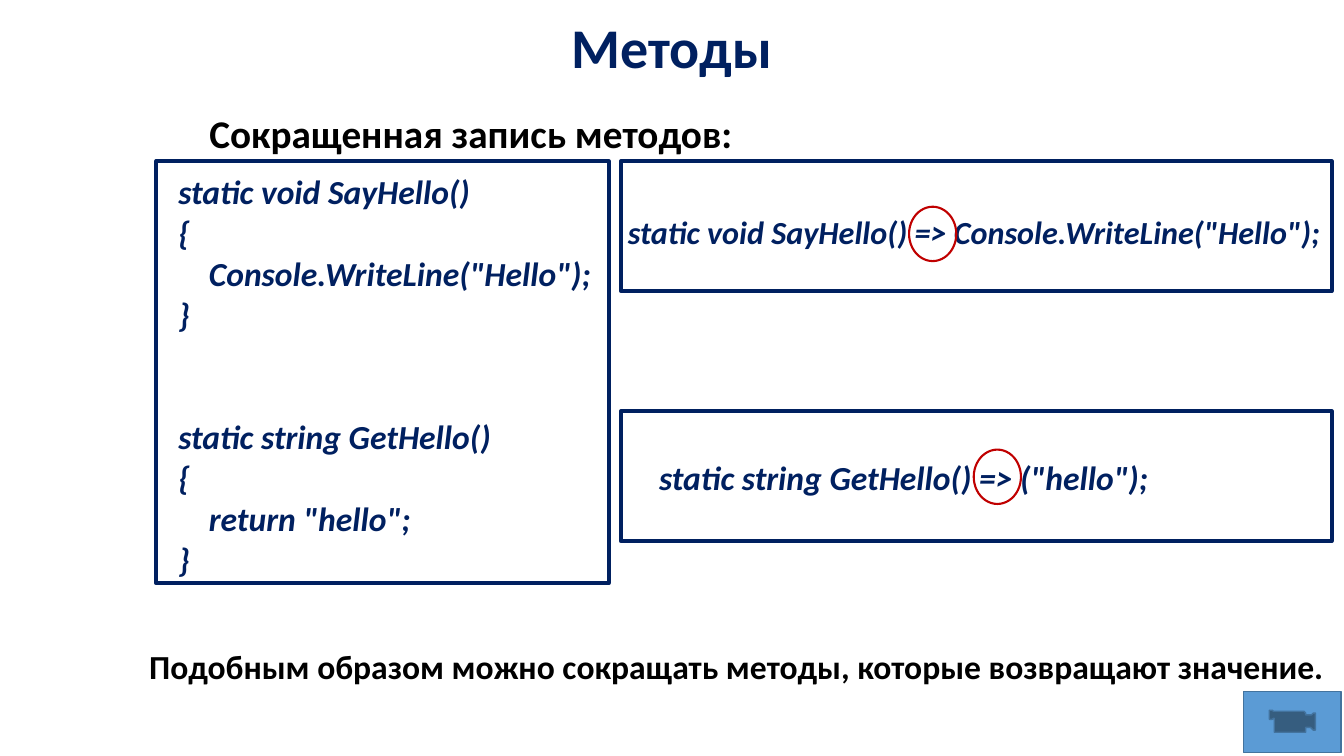
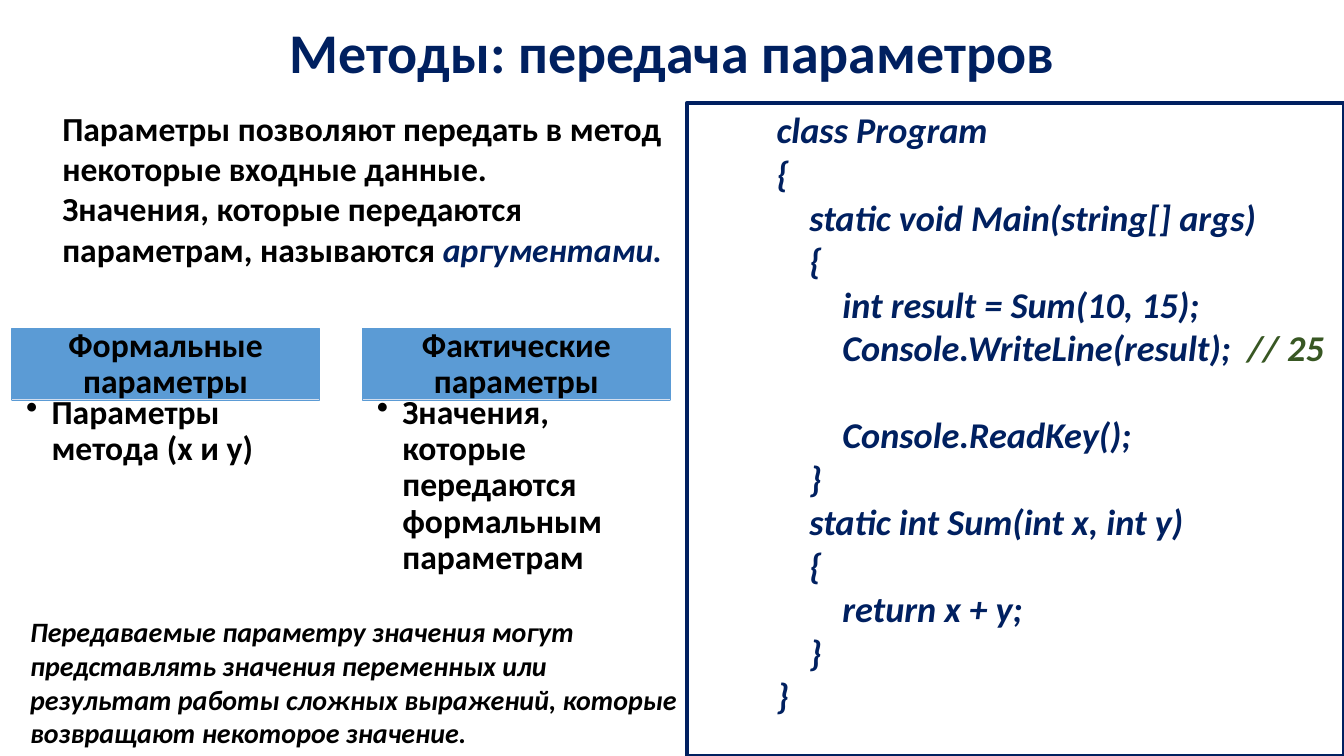
from lxml import etree
from pptx import Presentation
from pptx import util as u
from pptx.dml.color import RGBColor
from pptx.enum import shapes, text
from pptx.oxml.ns import qn

NAVY, BLACK, BLUE, PALE = "002060", "000000", "5B9BD5", "D2DEEF"
RED, STEEL, GREEN = "C00000", "43739E", "385723"
LEFT, CENTER = text.PP_ALIGN.LEFT, text.PP_ALIGN.CENTER
ink = RGBColor.from_string


def outline(slide, kind, box, line, width, fill=None):
    shape = slide.shapes.add_shape(kind, *map(u.Cm, box))
    shape.shadow.inherit = False
    shape.line.color.rgb = ink(line)
    shape.line.width = u.Pt(width)
    if fill:
        shape.fill.solid()
        shape.fill.fore_color.rgb = ink(fill)
    else:
        shape.fill.background()
    return shape


def write(frame, lines, size, color=BLACK, italic=False, align=LEFT,
          spacing=1.0, step=0, margin=0, wrap=True):
    frame.word_wrap = wrap
    for number, (level, words) in enumerate(lines):
        paragraph = frame.paragraphs[0] if number == 0 else frame.add_paragraph()
        paragraph.alignment = align
        paragraph.line_spacing = spacing
        paragraph._p.get_or_add_pPr().set("marL", str(u.Cm(margin + level * step)))
        paragraph.add_run().text = words
        font = paragraph.font
        font.name, font.size, font.bold, font.italic = "Calibri", u.Pt(size), True, italic
        font.color.rgb = ink(color)
    return frame.paragraphs


deck = Presentation()
deck.slide_width, deck.slide_height = u.Cm(33.87), u.Cm(19.05)

slides = []
for title, height in (("Методы", 2.54), ("Методы: передача параметров", 2.77)):
    slide = deck.slides.add_slide(deck.slide_layouts[6])
    heading = slide.shapes.add_textbox(u.Cm(4.23), 0, u.Cm(25.4), u.Cm(height)).text_frame
    heading.vertical_anchor = text.MSO_ANCHOR.MIDDLE
    write(heading, [(0, title)], 40, NAVY, align=CENTER, spacing=0.9)
    slides.append(slide)
short_form, parameters = slides

for box, words, size, wrap in (
    ((5.03, 2.77, 24, 1.2), "Сокращенная запись методов:", 28, True),
    ((3.51, 16.26, 30.35, 1.17),
     "Подобным образом можно сокращать методы, которые возвращают значение.", 24, False),
):
    caption = short_form.shapes.add_textbox(*map(u.Cm, box)).text_frame
    write(caption, [(0, words)], size, spacing=0.9, wrap=wrap)

methods = short_form.shapes.add_table(
    3, 2, u.Cm(4.24), u.Cm(4.22), u.Cm(29.62), u.Cm(10.39)).table
methods.first_row = methods.horz_banding = False
for column, width in zip(methods.columns, (11.1, 18.52)):
    column.width = u.Cm(width)
for row, height in zip(methods.rows, (4.27, 1.85, 4.27)):
    row.height = u.Cm(height)
for cell in methods.iter_cells():
    cell.fill.background()

for row, signature, body, arrow_form, size, indent in (
    (0, "static void SayHello()", 'Console.WriteLine("Hello");',
     'static void SayHello() => Сonsole.WriteLine("Hello");', 23, 0.48),
    (2, "static string GetHello()", 'return "hello";',
     'static string GetHello() => ("hello");', 24, 1.27),
):
    full, brief = methods.cell(row, 0), methods.cell(row, 1)
    write(full.text_frame, [(0, signature), (0, "{"), (1, body), (0, "}")],
          24, NAVY, italic=True, step=0.77)
    brief.margin_top, brief.margin_left = u.Cm(1.16), u.Cm(indent)
    write(brief.text_frame, [(0, arrow_form)], size, NAVY, italic=True)

for left, top in ((22.91, 5.21), (24.54, 11.33)):
    outline(short_form, shapes.MSO_SHAPE.OVAL, (left, top, 1.19, 1.37), RED, 1.5)
outline(short_form, shapes.MSO_SHAPE.ACTION_BUTTON_MOVIE,
        (31.34, 17.42, 2.46, 1.55), STEEL, 1, BLUE)
for box in ((3.94, 4.06, 11.4, 10.64), (15.65, 4.06, 17.91, 3.28), (15.65, 10.36, 17.91, 3.28)):
    outline(short_form, shapes.MSO_SHAPE.RECTANGLE, box, NAVY, 2.75)

program = outline(parameters, shapes.MSO_SHAPE.RECTANGLE,
                  (17.32, 2.59, 16.54, 16.46), NAVY, 2.75).text_frame
program.vertical_anchor = text.MSO_ANCHOR.TOP
code = write(program, [
    (0, "class Program"),
    (0, "{"),
    (1, "static void Main(string[] args)"),
    (1, "{"),
    (2, "int result = Sum(10, 15);"),
    (2, "Console.WriteLine(result);  "),
    (2, "Console.ReadKey();"),
    (1, "}"),
    (1, "static int Sum(int x, int y)"),
    (1, "{"),
    (2, "return x + y;"),
    (1, "}"),
    (0, "}"),
], 25.9, NAVY, italic=True, spacing=u.Pt(31.1), step=0.83, margin=2)
output = code[5].add_run()
output.text = "// 25"
output.font.color.rgb = ink(GREEN)
code[6].space_before = u.Pt(31.1)

intro = parameters.shapes.add_textbox(u.Cm(1.32), u.Cm(2.59), u.Cm(16), u.Cm(4.37)).text_frame
definition = write(intro, [
    (0, "Параметры позволяют передать в метод некоторые входные данные."),
    (0, "Значения, которые передаются параметрам, называются "),
], 24)[1]
term = definition.add_run()
term.text = "аргументами."
term.font.italic = True
term.font.color.rgb = ink(NAVY)

for left, kind, meaning in (
    (0.3, "Формальные параметры", "Параметры метода (x и y)"),
    (9.14, "Фактические параметры", "Значения, которые передаются формальным параметрам"),
):
    header = outline(parameters, shapes.MSO_SHAPE.RECTANGLE,
                     (left, 8.28, 7.75, 1.8), BLUE, 1, BLUE).text_frame
    header.margin_left = header.margin_right = u.Cm(0.48)
    write(header, [(0, kind)], 24, align=CENTER, spacing=0.9)

    rule = parameters.shapes.add_connector(
        shapes.MSO_CONNECTOR.STRAIGHT, *map(u.Cm, (left, 10.06, left + 7.75, 10.06)))
    rule.line.color.rgb = ink(PALE)
    rule.line.width = u.Pt(1)
    etree.SubElement(rule._element.spPr, qn("a:effectLst"))

    details = parameters.shapes.add_textbox(*map(u.Cm, (left, 9.96, 7.75, 5))).text_frame
    details.margin_left, details.margin_right, details.margin_top = u.Cm(0.36), u.Cm(0.48), 0
    item = write(details, [(0, meaning)], 24, spacing=0.9, margin=0.64)[0]
    properties = item._p.get_or_add_pPr()
    properties.set("indent", str(-u.Cm(0.64)))
    bullet = etree.Element(qn("a:buChar"), char="•")
    properties.find(qn("a:defRPr")).addprevious(bullet)

remark = parameters.shapes.add_textbox(
    u.Cm(0.51), u.Cm(15.37), u.Cm(16.81), u.Cm(3.68)).text_frame
write(remark, [(0, "Передаваемые параметру значения могут представлять значения переменных или "
                   "результат работы сложных выражений, которые возвращают некоторое значение.")],
      20, italic=True)

deck.save("out.pptx")
